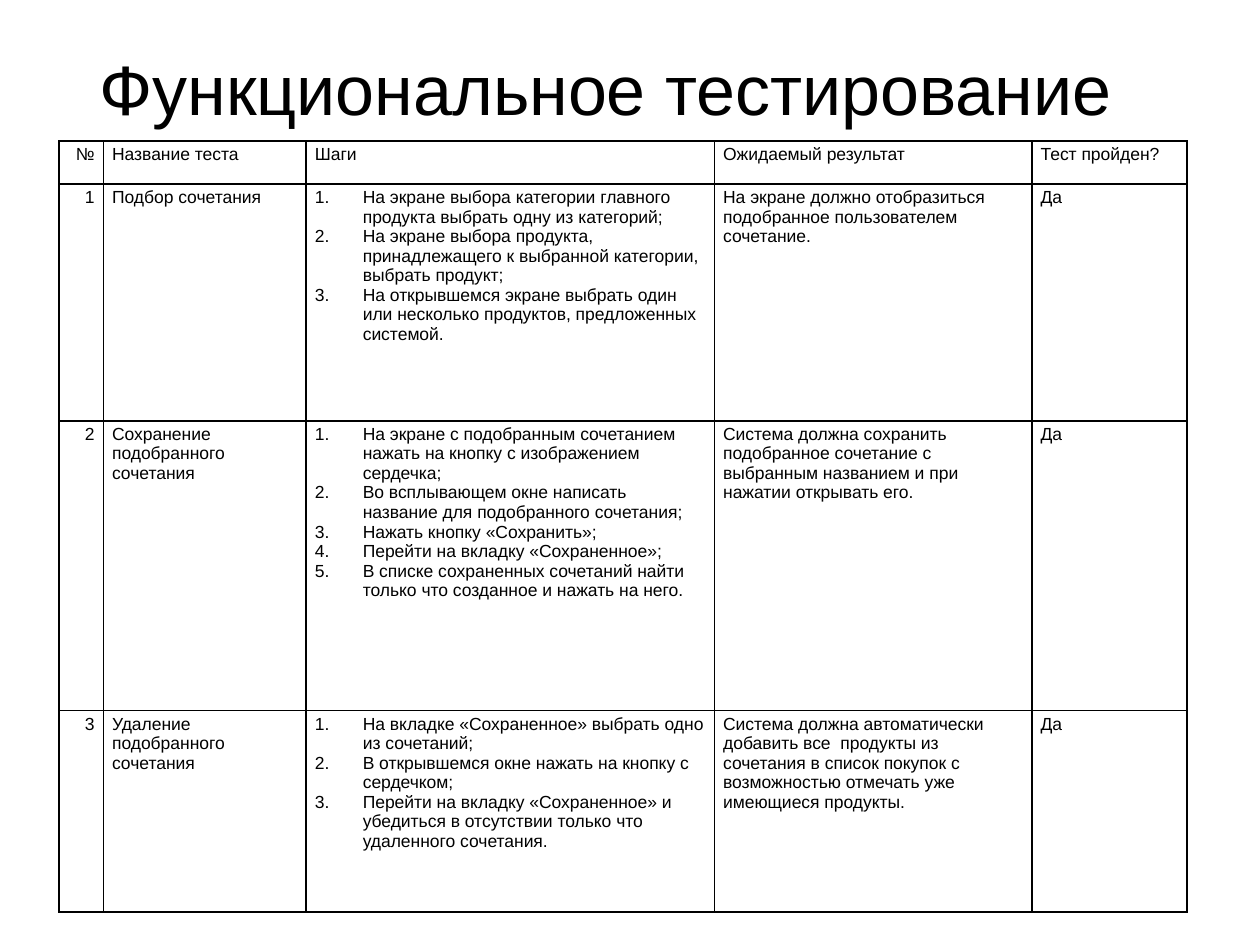
from dataclasses import dataclass

from lxml.etree import SubElement
from pptx import Presentation
from pptx.dml.color import RGBColor
from pptx.enum.text import MSO_ANCHOR, MSO_AUTO_SIZE, PP_ALIGN
from pptx.oxml.ns import qn
from pptx.util import Inches, Pt

BLACK = RGBColor(0x00, 0x00, 0x00)
FONT = "Arial"
COL_WIDTHS = (0.35, 1.61, 3.24, 2.52, 1.23)
HEADER_HEIGHT = 0.34
HEADERS = ("№", "Название теста", "Шаги", "Ожидаемый результат", "Тест пройден?")


@dataclass(frozen=True)
class TestCase:
    name: str
    steps: tuple[str, ...]
    expected: str
    height: float
    passed: str = "Да"


TEST_CASES = (
    TestCase(
        "Подбор сочетания",
        (
            "На экране выбора категории главного продукта выбрать одну из категорий;",
            "На экране выбора продукта, принадлежащего к выбранной категории, выбрать продукт;",
            "На открывшемся экране выбрать один или несколько продуктов, предложенных системой.",
        ),
        "На экране должно отобразиться подобранное пользователем сочетание.",
        1.88,
    ),
    TestCase(
        "Сохранение подобранного сочетания",
        (
            "На экране с подобранным сочетанием нажать на кнопку с изображением сердечка;",
            "Во всплывающем окне написать название для подобранного сочетания;",
            "Нажать кнопку «Сохранить»;",
            "Перейти на вкладку «Сохраненное»;",
            "В списке сохраненных сочетаний найти только что созданное и нажать на него.",
        ),
        "Система должна сохранить подобранное сочетание с выбранным названием "
        "и при нажатии открывать его.",
        2.3,
    ),
    TestCase(
        "Удаление подобранного сочетания",
        (
            "На вкладке «Сохраненное» выбрать одно из сочетаний;",
            "В открывшемся окне нажать на кнопку с сердечком;",
            "Перейти на вкладку «Сохраненное» и убедиться в отсутствии только что "
            "удаленного сочетания.",
        ),
        "Система должна автоматически добавить все  продукты из сочетания в список "
        "покупок с возможностью отмечать уже имеющиеся продукты.",
        1.6,
    ),
)


def add_run(p, text: str, size: float) -> None:
    r = p.add_run()
    r.text = text
    r.font.size = Pt(size)
    r.font.name = FONT
    r.font.color.rgb = BLACK


def add_title(s, text: str) -> None:
    sp = s.shapes.add_textbox(Inches(0.69), Inches(0.53), Inches(8.95), Inches(0.41))
    tf = sp.text_frame
    tf.word_wrap = True
    tf.auto_size = MSO_AUTO_SIZE.NONE
    tf.vertical_anchor = MSO_ANCHOR.MIDDLE
    tf.margin_left = tf.margin_right = tf.margin_top = tf.margin_bottom = Inches(0.1)
    p = tf.paragraphs[0]
    p.line_spacing = 0.9
    add_run(p, text, 40)


def number_paragraph(p) -> None:
    pPr = p._p.get_or_add_pPr()
    pPr.set("marL", str(Inches(0.38)))
    pPr.set("indent", str(Inches(-0.38)))
    SubElement(pPr, qn("a:buFont"), typeface=FONT)
    SubElement(pPr, qn("a:buAutoNum"), type="arabicPeriod")


def add_borders(cell) -> None:
    tcPr = cell._tc.get_or_add_tcPr()
    for side in ("lnL", "lnR", "lnT", "lnB"):
        ln = SubElement(tcPr, qn(f"a:{side}"), w=str(Pt(1)))
        fill = SubElement(ln, qn("a:solidFill"))
        SubElement(fill, qn("a:srgbClr"), val=str(BLACK))


def fill_cell(cell, lines: tuple[str, ...], right: bool, numbered: bool) -> None:
    cell.margin_left = cell.margin_right = Inches(0.07)
    cell.margin_top = cell.margin_bottom = Inches(0.03)
    add_borders(cell)
    cell.fill.background()
    tf = cell.text_frame
    for i, line in enumerate(lines):
        p = tf.add_paragraph() if i else tf.paragraphs[0]
        if right:
            p.alignment = PP_ALIGN.RIGHT
        if numbered:
            number_paragraph(p)
        add_run(p, line, 10)


def add_test_table(s, cases: tuple[TestCase, ...]) -> None:
    heights = (HEADER_HEIGHT, *(case.height for case in cases))
    rows = [[(header,) for header in HEADERS]]
    for number, case in enumerate(cases, 1):
        rows.append([(str(number),), (case.name,), case.steps, (case.expected,), (case.passed,)])

    table = s.shapes.add_table(
        len(rows), len(COL_WIDTHS), Inches(0.47), Inches(1.12),
        Inches(sum(COL_WIDTHS)), Inches(sum(heights)),
    ).table
    table.first_row = table.horz_banding = False
    for column, width in zip(table.columns, COL_WIDTHS):
        column.width = Inches(width)
    for i, (row, height) in enumerate(zip(rows, heights)):
        table.rows[i].height = Inches(height)
        for j, lines in enumerate(row):
            fill_cell(table.cell(i, j), lines, right=j == 0, numbered=i > 0 and j == 2)


def main() -> None:
    prs = Presentation()
    prs.slide_width, prs.slide_height = Inches(10), Inches(7.5)
    s = prs.slides.add_slide(prs.slide_layouts[6])
    add_title(s, "Функциональное тестирование")
    add_test_table(s, TEST_CASES)
    prs.save("out.pptx")


if __name__ == "__main__":
    main()
